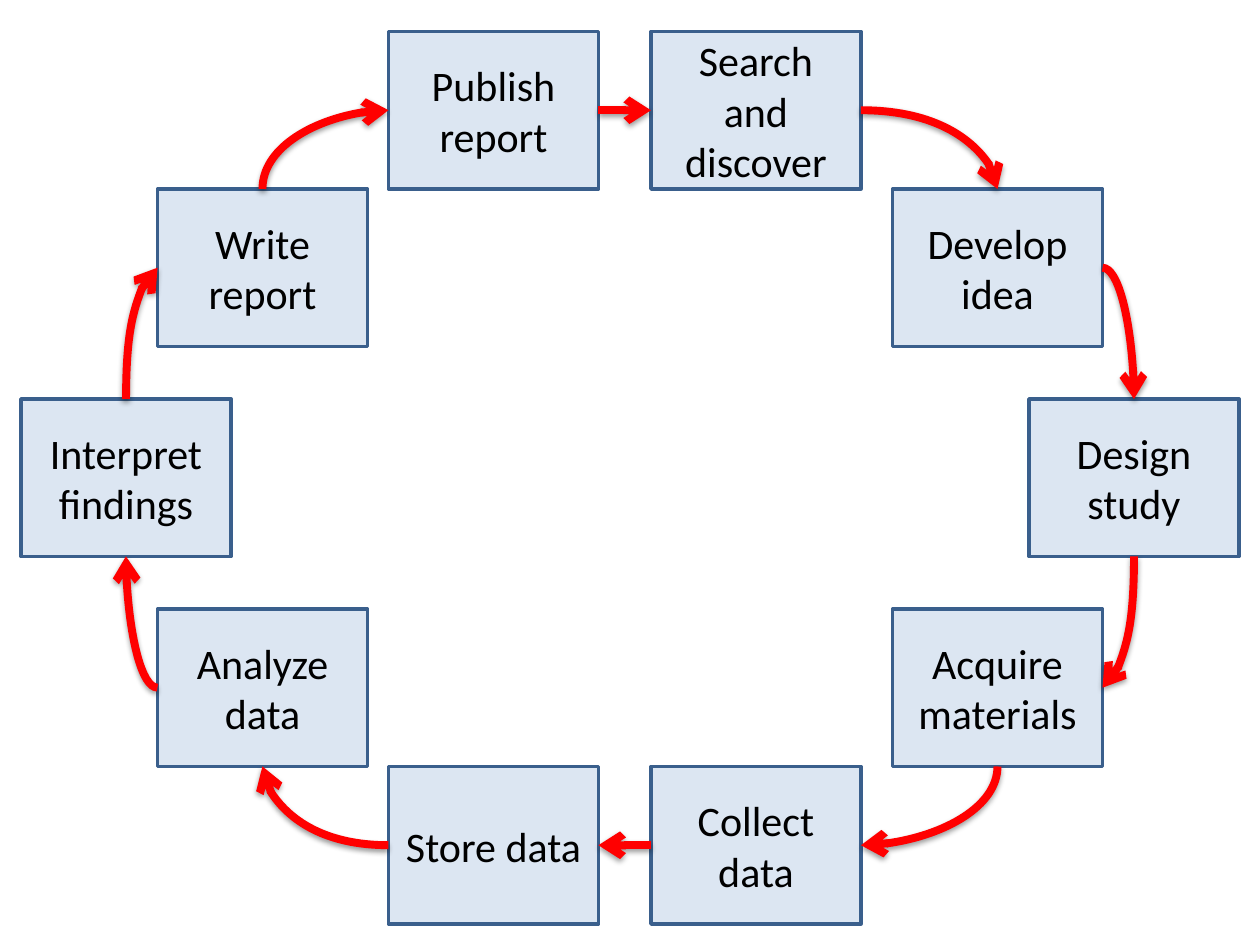
from lxml import etree
from pptx import Presentation
from pptx.dml.color import RGBColor
from pptx.enum.shapes import MSO_CONNECTOR, MSO_SHAPE
from pptx.enum.text import MSO_ANCHOR, PP_ALIGN
from pptx.oxml import parse_xml
from pptx.oxml.ns import nsdecls, qn
from pptx.util import Pt

RECTANGLE = MSO_SHAPE.RECTANGLE
CURVE = MSO_CONNECTOR.CURVE
MIDDLE = MSO_ANCHOR.MIDDLE
CENTER = PP_ALIGN.CENTER

PALE_BLUE = RGBColor(0xDC, 0xE6, 0xF2)
DARK_BLUE = RGBColor(0x3A, 0x5F, 0x8C)
BLACK = RGBColor(0, 0, 0)
RED = RGBColor(0xFF, 0, 0)

TOP, LEFT, BOTTOM, RIGHT = range(4)
BOX_WIDTH, BOX_HEIGHT = 120, 90

# Research cycle: label, left, top, side the arrow leaves, side it enters next
STEPS = [
    ("Search and discover", 372, 18, RIGHT, TOP),
    ("Develop idea", 510, 108, RIGHT, TOP),
    ("Design study", 588, 228, BOTTOM, RIGHT),
    ("Acquire materials", 510, 348, BOTTOM, RIGHT),
    ("Collect data", 372, 438, LEFT, RIGHT),
    ("Store data", 222, 438, LEFT, BOTTOM),
    ("Analyze data", 90, 348, LEFT, BOTTOM),
    ("Interpret findings", 12, 228, TOP, LEFT),
    ("Write report", 90, 108, TOP, LEFT),
    ("Publish report", 222, 18, RIGHT, LEFT),
]

SHADOW = (
    f'<a:effectLst {nsdecls("a")}>'
    '<a:outerShdw blurRad="40000" dist="20000" dir="5400000" rotWithShape="0">'
    '<a:srgbClr val="000000"><a:alpha val="38000"/></a:srgbClr>'
    '</a:outerShdw></a:effectLst>'
)


class CycleSlide:
    """Holds the page and the style of its boxes and arrows."""

    font_name = "Calibri"
    font_size = Pt(24)
    border = Pt(2)
    arrow_width = Pt(4.5)

    def __init__(self, page):
        self.page = page

    def box(self, label, left, top):
        box = self.page.shapes.add_shape(
            RECTANGLE, Pt(left), Pt(top), Pt(BOX_WIDTH), Pt(BOX_HEIGHT))
        box.shadow.inherit = False
        box.fill.solid()
        box.fill.fore_color.rgb = PALE_BLUE
        box.line.color.rgb = DARK_BLUE
        box.line.width = self.border
        box.text_frame.word_wrap = True
        box.text_frame.vertical_anchor = MIDDLE
        para = box.text_frame.paragraphs[0]
        para.text = label
        para.alignment = CENTER
        para.font.name = self.font_name
        para.font.size = self.font_size
        para.font.color.rgb = BLACK
        return box

    def arrow(self, start, leave, end, enter):
        arrow = self.page.shapes.add_connector(CURVE, 0, 0, 0, 0)
        arrow.begin_connect(start, leave)
        arrow.end_connect(end, enter)
        arrow.line.color.rgb = RED
        arrow.line.width = self.arrow_width
        properties = arrow._element.spPr
        etree.SubElement(properties.find(qn("a:ln")), qn("a:tailEnd"), type="arrow")
        properties.append(parse_xml(SHADOW))
        # A quarter bend joins a horizontal side to a vertical one
        if leave % 2 != enter % 2:
            properties.find(qn("a:prstGeom")).set("prst", "curvedConnector2")
        if leave in (TOP, BOTTOM):
            self.turn(arrow, flipped=leave == TOP)

    def turn(self, arrow, flipped):
        """Rotate a bend by 90° about its centre so that it starts vertically."""
        width, height = arrow.width, arrow.height
        arrow.left += (width - height) // 2
        arrow.top += (height - width) // 2
        arrow.width, arrow.height = height, width
        frame = arrow._element.spPr.find(qn("a:xfrm"))
        frame.set("rot", "5400000")
        for flip in ("flipH", "flipV"):
            frame.set(flip, "1" if flipped else "0")


def main():
    deck = Presentation()
    deck.slide_width, deck.slide_height = Pt(720), Pt(540)
    cycle = CycleSlide(deck.slides.add_slide(deck.slide_layouts[6]))

    # Boxes
    boxes = [cycle.box(label, left, top) for label, left, top, _, _ in STEPS]

    # Arrows, each from one step to the next around the ring
    for index, (_, _, _, leave, enter) in enumerate(STEPS):
        following = boxes[(index + 1) % len(boxes)]
        cycle.arrow(boxes[index], leave, following, enter)

    deck.save("out.pptx")


if __name__ == "__main__":
    main()
